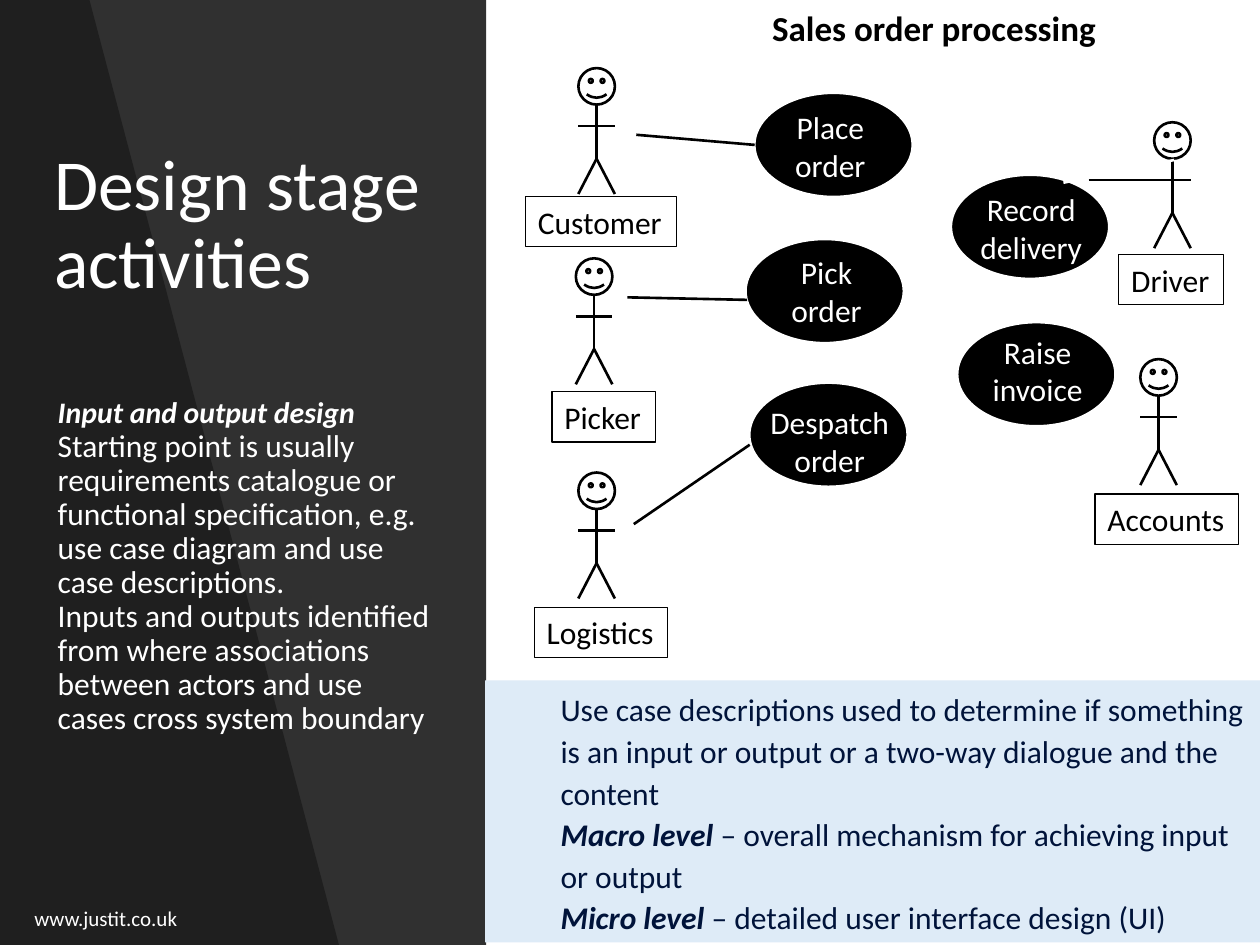
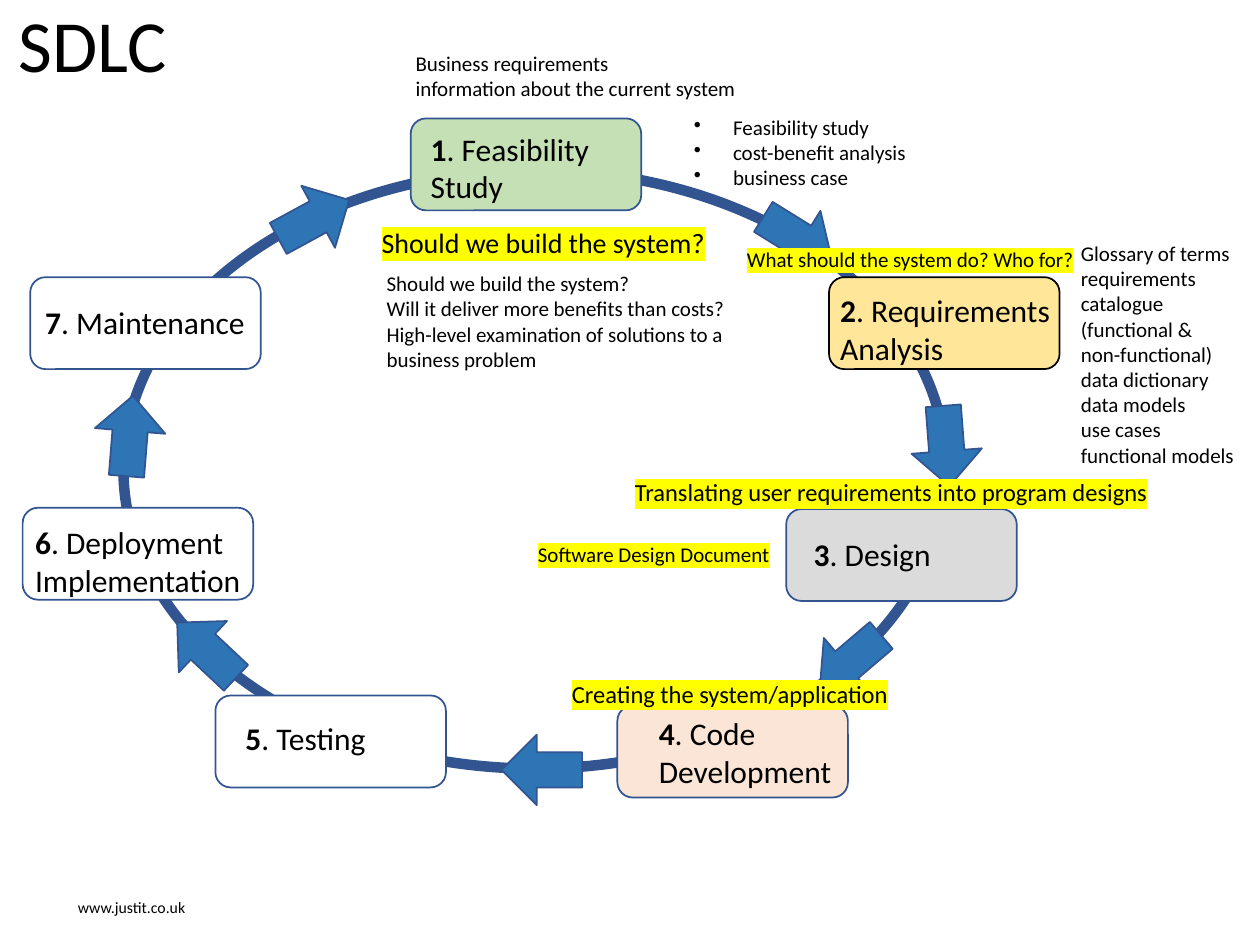
from dataclasses import dataclass
from typing import NamedTuple, Optional

from lxml import etree
from pptx import Presentation
from pptx.dml.color import RGBColor
from pptx.enum.shapes import MSO_CONNECTOR, MSO_SHAPE
from pptx.enum.text import MSO_ANCHOR, MSO_AUTO_SIZE, PP_ALIGN
from pptx.oxml.ns import qn
from pptx.util import Inches, Pt

RECTANGLE, ROUNDED = MSO_SHAPE.RECTANGLE, MSO_SHAPE.ROUNDED_RECTANGLE
ELLIPSE, SMILEY, ARROW = MSO_SHAPE.OVAL, MSO_SHAPE.SMILEY_FACE, MSO_SHAPE.RIGHT_ARROW
STRAIGHT = MSO_CONNECTOR.STRAIGHT
LEFT, CENTER = PP_ALIGN.LEFT, PP_ALIGN.CENTER
TOP, MIDDLE = MSO_ANCHOR.TOP, MSO_ANCHOR.MIDDLE
NO_AUTOFIT = MSO_AUTO_SIZE.NONE

FONT = "Calibri"
FOOTER = "www.justit.co.uk"
TITLE_ONLY = 5
COLORS = {
    "black": "000000", "white": "FFFFFF", "navy": "00133A", "pale_blue": "DEEBF7",
    "ring": "325491", "arrow": "2E75B6", "green": "C5E0B4", "yellow": "FFE699",
    "grey": "DBDBDB", "peach": "FBE5D6", "marker": "FFFF00",
}


class Box(NamedTuple):
    left: float
    top: float
    width: float
    height: float


class Run(NamedTuple):
    text: str
    bold: bool = False
    italic: bool = False
    size: Optional[float] = None


@dataclass
class TextStyle:
    size: float = 18
    color: str = "black"
    align: PP_ALIGN = LEFT
    anchor: MSO_ANCHOR = TOP
    wrap: bool = True
    spacing: float = 1.0
    indent: float = 0
    hanging: float = 0
    bullet: str = ""
    highlight: str = ""


class Actor(NamedTuple):
    name: str
    left: float
    top: float
    label: Box


class UseCase(NamedTuple):
    lines: tuple
    left: float
    top: float
    text: Box


class Association(NamedTuple):
    start: tuple
    end: tuple
    color: str = "black"


class Stage(NamedTuple):
    number: int
    lines: tuple
    left: float
    top: float
    text: Box
    fill: str = "white"
    line: str = "ring"


class FlowArrow(NamedTuple):
    left: float
    top: float
    rotation: float


class Caption(NamedTuple):
    box: Box
    lines: tuple
    style: TextStyle


def rgb(name: str) -> RGBColor:
    return RGBColor.from_string(COLORS[name])


def inches(values) -> list:
    return [Inches(value) for value in values]


def paint(shape, fill: str = "", line: str = "", width: float = 1, alpha: int = 100) -> None:
    """Set fill, outline and opacity (percent); an empty colour name means none."""
    shape.shadow.inherit = False
    if fill:
        shape.fill.solid()
        shape.fill.fore_color.rgb = rgb(fill)
        if alpha < 100:
            color = shape._element.spPr.find(qn("a:solidFill"))[0]
            etree.SubElement(color, qn("a:alpha"), val=str(alpha * 1000))
    else:
        shape.fill.background()
    if line:
        shape.line.color.rgb = rgb(line)
        shape.line.width = Pt(width)
    else:
        shape.line.fill.background()


def add_shape(slide, kind, box: Box, **look):
    shape = slide.shapes.add_shape(kind, *inches(box))
    paint(shape, **look)
    return shape


def add_line(slide, start: tuple, end: tuple, color: str = "black") -> None:
    connector = slide.shapes.add_connector(STRAIGHT, *inches((*start, *end)))
    connector.line.color.rgb = rgb(color)
    connector.line.width = Pt(1.5)
    etree.SubElement(connector._element.spPr, qn("a:effectLst"))


def write_text(shape, paragraphs, style: TextStyle) -> None:
    """Fill a shape with paragraphs, each a string or a tuple of runs."""
    frame = shape.text_frame
    frame_format = {"word_wrap": style.wrap, "auto_size": NO_AUTOFIT,
                    "vertical_anchor": style.anchor}
    for name, value in frame_format.items():
        setattr(frame, name, value)
    for index, content in enumerate(paragraphs):
        paragraph = frame.add_paragraph() if index else frame.paragraphs[0]
        paragraph.alignment = style.align
        paragraph.line_spacing = style.spacing
        properties = paragraph._p.get_or_add_pPr()
        if style.indent:
            properties.set("marL", str(Inches(style.indent)))
            properties.set("indent", str(Inches(style.hanging)))
        if style.bullet:
            etree.SubElement(properties, qn("a:buChar"), char=style.bullet)
        for part in (Run(content),) if isinstance(content, str) else content:
            run = paragraph.add_run()
            run.text = part.text
            font_format = {"name": FONT, "size": Pt(part.size or style.size),
                           "bold": part.bold, "italic": part.italic}
            for name, value in font_format.items():
                setattr(run.font, name, value)
            run.font.color.rgb = rgb(style.color)
            if style.highlight:
                highlight = etree.Element(qn("a:highlight"))
                etree.SubElement(highlight, qn("a:srgbClr"), val=COLORS[style.highlight])
                run._r.rPr.find(qn("a:solidFill")).addnext(highlight)


def add_text(slide, box: Box, paragraphs, style: TextStyle) -> None:
    write_text(slide.shapes.add_textbox(*inches(box)), paragraphs, style)


def add_slide(presentation):
    slide = presentation.slides.add_slide(presentation.slide_layouts[TITLE_ONLY])
    slide.background.fill.solid()
    slide.background.fill.fore_color.rgb = rgb("white")
    return slide


def set_title(slide, text: str, box: Box, style: TextStyle) -> None:
    title = slide.shapes.title
    title.left, title.top, title.width, title.height = inches(box)
    write_text(title, [text], style)


def add_stick_figure(slide, left: float, top: float) -> None:
    size = 0.29
    middle, right, hip, foot = left + size / 2, left + size, top + 0.72, top + 1
    add_shape(slide, SMILEY, Box(left, top, size, size), line="black", width=1.5)
    add_line(slide, (middle, top + 0.3), (middle, hip))
    add_line(slide, (left, top + 0.46), (right, top + 0.46))
    for foot_x in (left, right):
        add_line(slide, (middle, hip), (foot_x, foot))


ACTORS = (
    Actor("Customer", 4.59, 0.54, Box(4.17, 1.56, 1.2, 0.4)),
    Actor("Picker", 4.57, 2.05, Box(4.38, 3.11, 0.82, 0.4)),
    Actor("Logistics", 4.59, 3.75, Box(4.24, 4.82, 1.06, 0.4)),
    Actor("Driver", 9.16, 0.97, Box(8.88, 2.02, 0.83, 0.4)),
    Actor("Accounts", 9.05, 2.85, Box(8.69, 3.92, 1.14, 0.4)),
)
USE_CASES = (
    UseCase(("Place", "order"), 5.99, 0.74, Box(6.18, 0.81, 0.82, 0.71)),
    UseCase(("Pick", "order"), 5.92, 1.9, Box(6.15, 1.96, 0.82, 0.71)),
    UseCase(("Despatch", "order"), 5.95, 3.04, Box(5.96, 3.15, 1.25, 0.71)),
    UseCase(("Record delivery",), 7.55, 1.39, Box(7.61, 1.46, 1.15, 0.71)),
    UseCase(("Raise", "invoice"), 7.6, 2.56, Box(7.77, 2.59, 0.93, 0.71)),
)
ASSOCIATIONS = (
    Association((5.05, 1.07), (5.99, 1.15)),
    Association((4.98, 2.36), (5.93, 2.38)),
    Association((5.03, 4.16), (5.95, 3.53)),
    Association((8.44, 1.45), (9.32, 1.27), "white"),
    Association((8.64, 1.43), (9.18, 1.43)),
)
STAGES = (
    Stage(1, (". Feasibility Study",), 3.26, 0.94, Box(3.32, 0.98, 1.96, 0.71), "green"),
    Stage(2, (". Requirements Analysis",), 6.58, 2.2, Box(6.57, 2.26, 2.18, 0.71),
          "yellow", "black"),
    Stage(3, (". Design",), 6.24, 4.04, Box(6.36, 4.2, 1.47, 0.4), "grey"),
    Stage(4, (". Code Development",), 4.9, 5.6, Box(5.13, 5.62, 2.29, 0.71), "peach"),
    Stage(5, (". Testing",), 1.71, 5.52, Box(1.85, 5.66, 1.47, 0.4)),
    Stage(6, (". Deployment", "Implementation"), 0.18, 4.03, Box(0.18, 4.1, 1.99, 0.71)),
    Stage(7, (". Maintenance",), 0.24, 2.2, Box(0.26, 2.36, 1.81, 0.4)),
)
FLOW_ARROWS = (
    FlowArrow(6.01, 1.61, 31.8), FlowArrow(7.19, 3.26, 85.6), FlowArrow(6.43, 4.97, 139.6),
    FlowArrow(3.98, 5.83, 180), FlowArrow(1.32, 4.88, 223.2), FlowArrow(0.71, 3.18, 274.6),
    FlowArrow(2.17, 1.46, 331.5),
)
NOTE = TextStyle(size=12)
BULLETS = TextStyle(size=12, indent=0.31, hanging=-0.31, bullet="•")
MARKED_NOTE = TextStyle(size=12, highlight="marker")
MARKED_LINE = TextStyle(size=14, highlight="marker", wrap=False)
MARKED_QUESTION = TextStyle(size=16, highlight="marker")
CAPTIONS = (
    Caption(Box(2.93, 1.74, 2.82, 0.37), ("Should we build the system?",), MARKED_QUESTION),
    Caption(Box(2.97, 2.1, 3.28, 0.91),
            ("Should we build the system?", "Will it deliver more benefits than costs?",
             "High-level examination of solutions to a business problem"), NOTE),
    Caption(Box(5.41, 0.86, 2.9, 0.71),
            ("Feasibility study", "cost-benefit analysis", "business case"), BULLETS),
    Caption(Box(3.2, 0.35, 2.77, 0.5),
            ("Business requirements", "information about the current system"), NOTE),
    Caption(Box(5.83, 1.91, 2.83, 0.3), ("What should the system do? Who for?",), MARKED_NOTE),
    Caption(Box(8.48, 1.86, 1.6, 1.92),
            ("Glossary of terms", "requirements catalogue", "(functional &",
             "non-functional)", "data dictionary", "data models", "use cases",
             "functional models"), NOTE),
    Caption(Box(4.94, 3.74, 4.31, 0.34),
            ("Translating user requirements into program designs",), MARKED_LINE),
    Caption(Box(4.17, 4.25, 2.25, 0.3), ("Software Design Document",), MARKED_NOTE),
    Caption(Box(4.44, 5.34, 2.74, 0.34), ("Creating the system/application",), MARKED_LINE),
)


def add_side_panel(slide) -> None:
    add_shape(slide, RECTANGLE, Box(0, 0, 3.86, 7.5), fill="black", alpha=81)
    builder = slide.shapes.build_freeform(0, 0)
    builder.add_line_segments([inches(point) for point in ((0.71, 0), (2.69, 7.5), (0, 7.5))])
    paint(builder.convert_to_shape(), fill="black", alpha=35)


def build_design_slide(presentation) -> None:
    slide = add_slide(presentation)
    add_side_panel(slide)
    title = slide.shapes.title._element
    title.getparent().append(title)  # bring the title in front of the panel
    set_title(slide, "Design stage activities", Box(0.33, 0.69, 3.24, 2.21),
              TextStyle(size=41, color="white", anchor=MIDDLE, spacing=0.9))
    add_text(slide, Box(0, 7.09, 1.68, 0.4), [FOOTER],
             TextStyle(size=12, color="white", align=CENTER, anchor=MIDDLE))
    add_text(slide, Box(0.36, 3.11, 3.19, 2.94), [
        (Run("Input and output design", True, True, 17),),
        "Starting point is usually requirements catalogue or functional specification, "
        "e.g. use case diagram and use case descriptions.",
        "Inputs and outputs identified from where associations between actors and use "
        "cases cross system boundary",
    ], TextStyle(color="white", spacing=0.9))
    band = add_shape(slide, RECTANGLE, Box(3.85, 5.4, 6.15, 2.08), fill="pale_blue")
    write_text(band, [
        "Use case descriptions used to determine if something is an input or output "
        "or a two-way dialogue and the content",
        (Run("Macro level ", True, True),
         Run("– overall mechanism for achieving input or output")),
        (Run("Micro level ", True, True), Run("– detailed user interface design (UI)")),
    ], TextStyle(color="navy", spacing=1.1, indent=0.5))
    add_text(slide, Box(6.03, 0, 2.8, 0.44), [(Run("Sales order processing", True),)],
             TextStyle(size=20, wrap=False))
    for actor in ACTORS:
        add_stick_figure(slide, actor.left, actor.top)
        label = add_shape(slide, RECTANGLE, actor.label, line="black", width=0.75)
        write_text(label, [actor.name], TextStyle(wrap=False))
    for case in USE_CASES:
        add_shape(slide, ELLIPSE, Box(case.left, case.top, 1.25, 0.82),
                  fill="black", line="white")
        add_text(slide, case.text, case.lines, TextStyle(color="white", align=CENTER))
    for association in ASSOCIATIONS:
        add_line(slide, *association)


def build_life_cycle_slide(presentation) -> None:
    slide = add_slide(presentation)
    set_title(slide, "SDLC", Box(0.05, 0.02, 3.75, 6.05), TextStyle(size=42, spacing=0.9))
    add_text(slide, Box(0.52, 6.9, 6.82, 0.6), [FOOTER], TextStyle(size=9, anchor=MIDDLE))
    add_shape(slide, ELLIPSE, Box(0.98, 1.35, 6.53, 4.75), line="ring", width=6)
    for stage in STAGES:
        add_shape(slide, ROUNDED, Box(stage.left, stage.top, 1.83, 0.73),
                  fill=stage.fill, line=stage.line)
        first, *rest = stage.lines
        add_text(slide, stage.text, [(Run(str(stage.number), True), Run(first)), *rest],
                 TextStyle())
    for arrow in FLOW_ARROWS:
        shape = add_shape(slide, ARROW, Box(arrow.left, arrow.top, 0.64, 0.56),
                          fill="arrow", line="ring")
        shape.rotation = arrow.rotation
    for caption in CAPTIONS:
        add_text(slide, *caption)


def main() -> None:
    presentation = Presentation()
    presentation.slide_width, presentation.slide_height = inches((10, 7.5))
    build_design_slide(presentation)
    build_life_cycle_slide(presentation)
    presentation.save("out.pptx")


if __name__ == "__main__":
    main()
